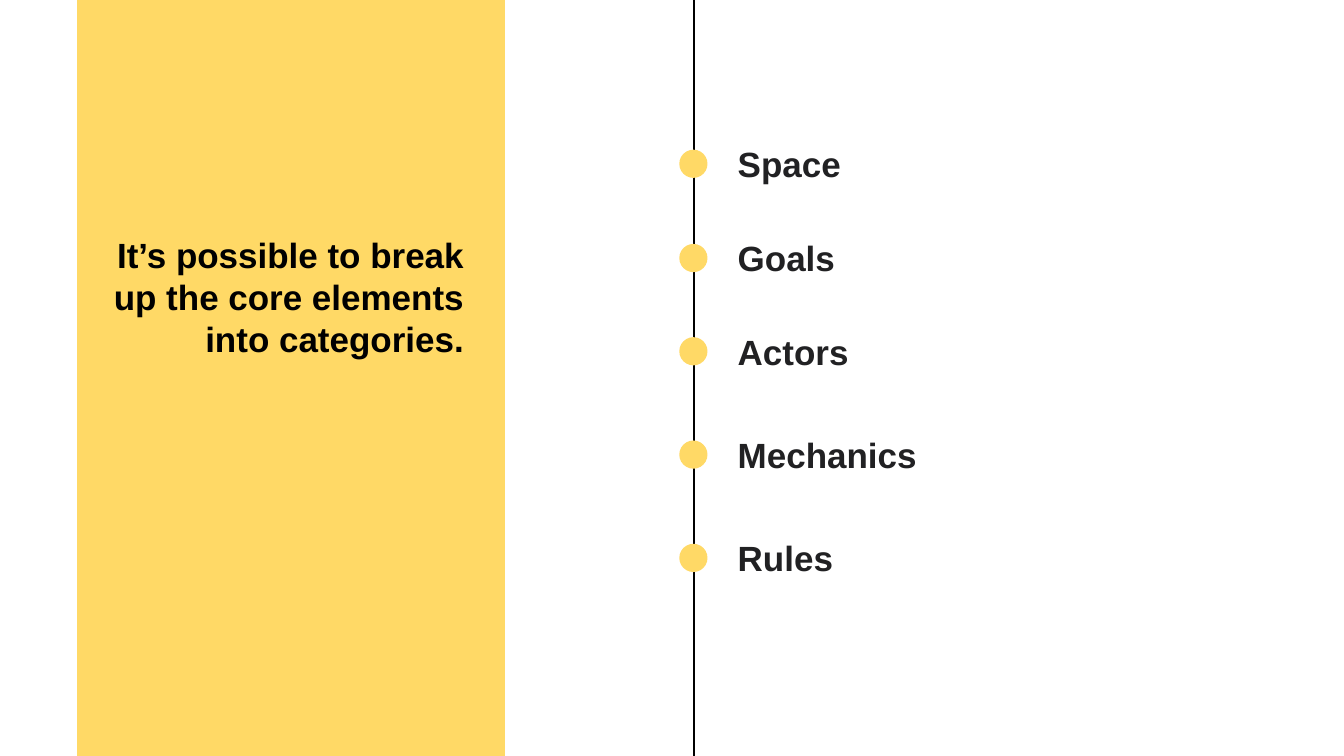
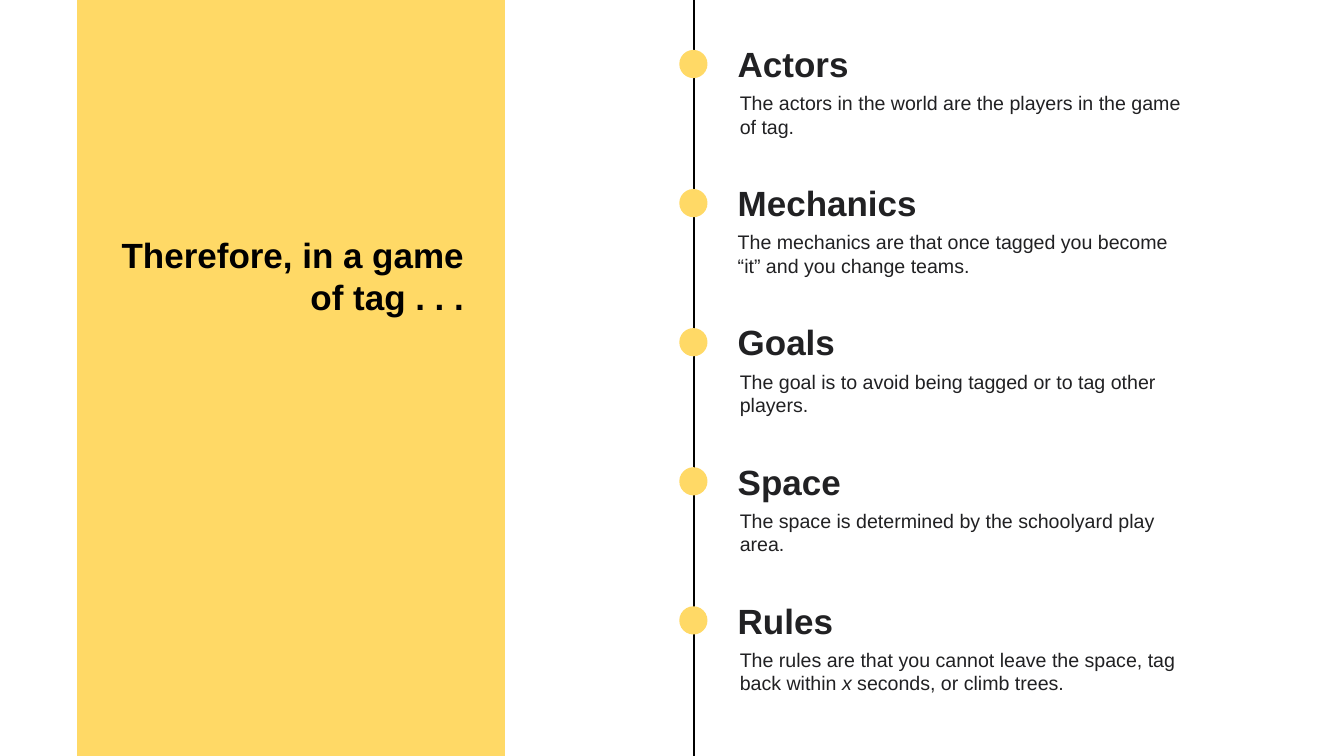
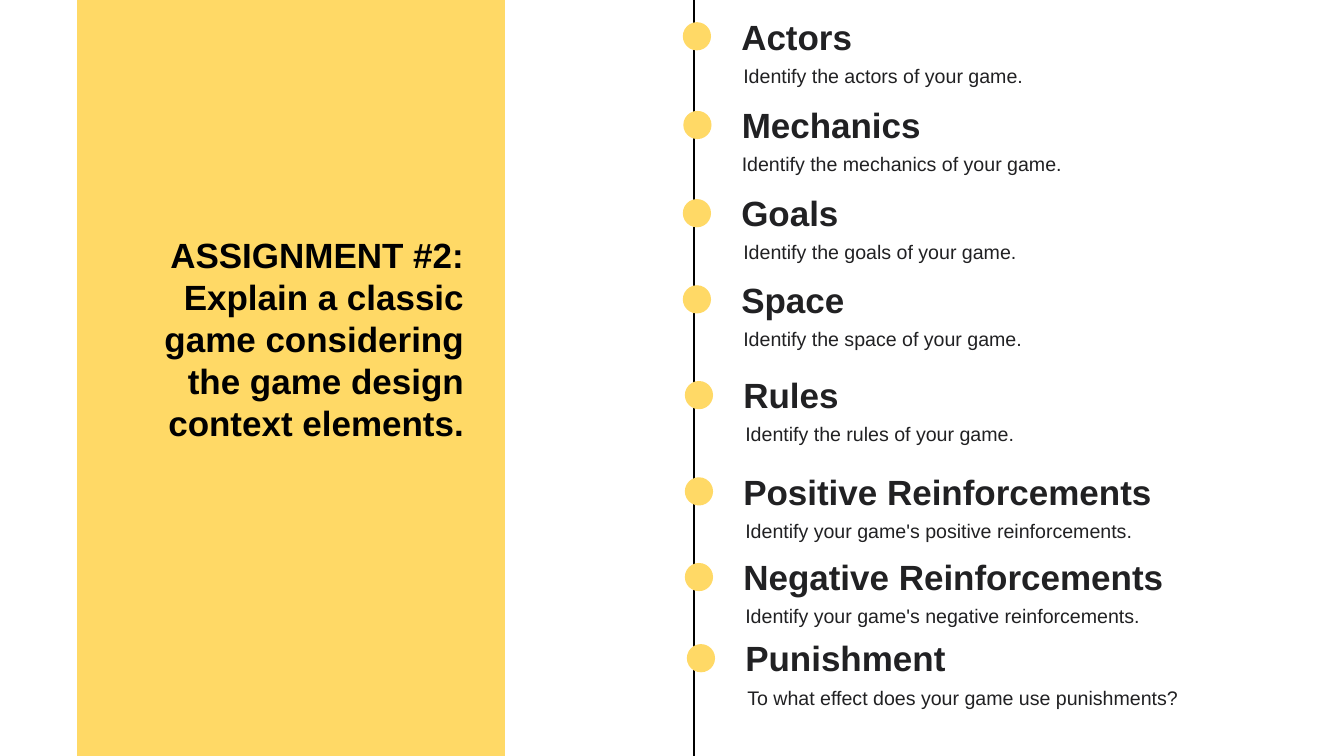
from dataclasses import dataclass

from lxml.etree import SubElement
from pptx import Presentation
from pptx.dml.color import RGBColor
from pptx.enum.shapes import MSO_CONNECTOR as Connector, MSO_SHAPE as Preset
from pptx.enum.text import MSO_ANCHOR as Anchor, MSO_AUTO_SIZE as AutoSize, PP_ALIGN as Align
from pptx.oxml.ns import qn
from pptx.slide import Slide
from pptx.util import Inches, Pt

YELLOW = RGBColor(0xFF, 0xD9, 0x66)
BLACK = RGBColor(0, 0, 0)
CHARCOAL = RGBColor(0x21, 0x21, 0x23)
FONT = "Arial"
HEADING_SIZE = 50
BODY_SIZE = 28
WIDTH, HEIGHT = 26.67, 15
TIMELINE_X = 13.77
DOT_SIZE = 0.56
INSET = 0.06
TITLE_LINE_HEIGHT = 0.84
BODY_LINE_HEIGHT = 0.47


@dataclass(frozen=True)
class Entry:
    """One dot on the timeline with its heading and optional description."""
    heading: str
    top: float
    left: float = 14.58
    description: str = ""
    indent: float = 0.04
    lines: int = 2


@dataclass(frozen=True)
class Topic:
    """One slide: its title paragraphs, title line count and entries."""
    title: tuple[str, ...]
    title_lines: int
    entries: tuple[Entry, ...]


TOPICS = (
    Topic(("It’s possible to break up the core elements into categories.",), 3, (
        Entry("Space", 2.77),
        Entry("Goals", 4.64),
        Entry("Actors", 6.49),
        Entry("Mechanics", 8.54),
        Entry("Rules", 10.59),
    )),
    Topic(("Therefore, in a game of tag . . .",), 2, tuple(
        Entry(heading, 0.79 + 2.76 * row, description=description, indent=indent)
        for row, (heading, description, indent) in enumerate((
            ("Actors", "The actors in the world are the players in the game of tag.", 0.04),
            ("Mechanics", "The mechanics are that once tagged you become “it” and you change teams.", 0),
            ("Goals", "The goal is to avoid being tagged or to tag other players.", 0.04),
            ("Space", "The space is determined by the schoolyard play area.", 0.04),
            ("Rules", "The rules are that you cannot leave the space, tag back within *x* seconds, "
                      "or climb trees.", 0.04),
        ))
    )),
    Topic(("ASSIGNMENT #2:", "Explain a classic game considering the game design context elements."), 5, (
        Entry("Actors", 0.24, 14.65, "Identify the actors of your game.", lines=1),
        Entry("Mechanics", 2, 14.66, "Identify the mechanics of your game.", 0, 1),
        Entry("Goals", 3.75, 14.65, "Identify the goals of your game.", lines=1),
        Entry("Space", 5.46, 14.65, "Identify the space of your game.", lines=1),
        Entry("Rules", 7.36, 14.69, "Identify the rules of your game.", lines=1),
        Entry("Positive Reinforcements", 9.27, 14.69,
              "Identify your game's positive reinforcements.", lines=1),
        Entry("Negative Reinforcements", 10.97, 14.69,
              "Identify your game's negative reinforcements.", lines=1),
        Entry("Punishment", 12.58, 14.73, "To what effect does your game use punishments?"),
    )),
)


def add_text(slide: Slide, *paragraphs: str, left: float, top: float, width: float, height: float,
             size: float = HEADING_SIZE, color: RGBColor = CHARCOAL, bold: bool = False,
             align: Align = Align.LEFT, anchor: Anchor = Anchor.TOP) -> None:
    """Add a text box; words between asterisks are italic."""
    box = slide.shapes.add_textbox(Inches(left), Inches(top), Inches(width), Inches(height))
    frame = box.text_frame
    frame.word_wrap = True
    frame.auto_size = AutoSize.SHAPE_TO_FIT_TEXT
    frame.vertical_anchor = anchor
    frame.margin_left = frame.margin_right = frame.margin_top = frame.margin_bottom = Inches(INSET)
    for number, text in enumerate(paragraphs):
        paragraph = frame.add_paragraph() if number else frame.paragraphs[0]
        paragraph.alignment = align
        for position, part in enumerate(text.split("*")):
            run = paragraph.add_run()
            run.text = part
            run.font.name, run.font.size = FONT, Pt(size)
            run.font.bold, run.font.italic = bold, position % 2 == 1
            run.font.color.rgb = color


def add_block(slide: Slide, preset: Preset, left: float, top: float, width: float, height: float) -> None:
    """Add a plain yellow shape."""
    shape = slide.shapes.add_shape(preset, Inches(left), Inches(top), Inches(width), Inches(height))
    shape.shadow.inherit = False
    shape.fill.solid()
    shape.fill.fore_color.rgb = YELLOW
    shape.line.fill.background()


def add_timeline(slide: Slide) -> None:
    """Add the vertical line that carries the dots."""
    x = Inches(TIMELINE_X)
    line = slide.shapes.add_connector(Connector.STRAIGHT, x, Inches(HEIGHT + 0.02), x, Inches(-0.02))
    line.line.color.rgb = BLACK
    line.line.width = Pt(2)
    SubElement(line._element.spPr, qn("a:effectLst"))


def add_entry(slide: Slide, entry: Entry) -> None:
    """Add a dot, its heading and its description."""
    add_block(slide, Preset.OVAL, entry.left - 1.1, entry.top + 0.2, DOT_SIZE, DOT_SIZE)
    add_text(slide, entry.heading, left=entry.left, top=entry.top, width=9.06, height=0.95,
             bold=True, anchor=Anchor.MIDDLE)
    if entry.description:
        add_text(slide, entry.description, left=entry.left + entry.indent, top=entry.top + 0.96,
                 width=9.02, height=2 * INSET + BODY_LINE_HEIGHT * entry.lines, size=BODY_SIZE)


def add_topic(presentation: Presentation, topic: Topic) -> None:
    """Add one slide with its timeline and title panel."""
    slide = presentation.slides.add_slide(presentation.slide_layouts[6])
    add_timeline(slide)
    for entry in topic.entries:
        add_entry(slide, entry)
    add_block(slide, Preset.RECTANGLE, 1.53, -0.05, 8.49, 15.11)
    add_text(slide, *topic.title, left=2.08, top=4.58, width=7.19,
             height=2 * INSET + TITLE_LINE_HEIGHT * topic.title_lines,
             color=BLACK, bold=True, align=Align.RIGHT)


def main() -> None:
    """Build and save the presentation."""
    presentation = Presentation()
    presentation.slide_width, presentation.slide_height = Inches(WIDTH), Inches(HEIGHT)
    for topic in TOPICS:
        add_topic(presentation, topic)
    presentation.save("out.pptx")


if __name__ == "__main__":
    main()
